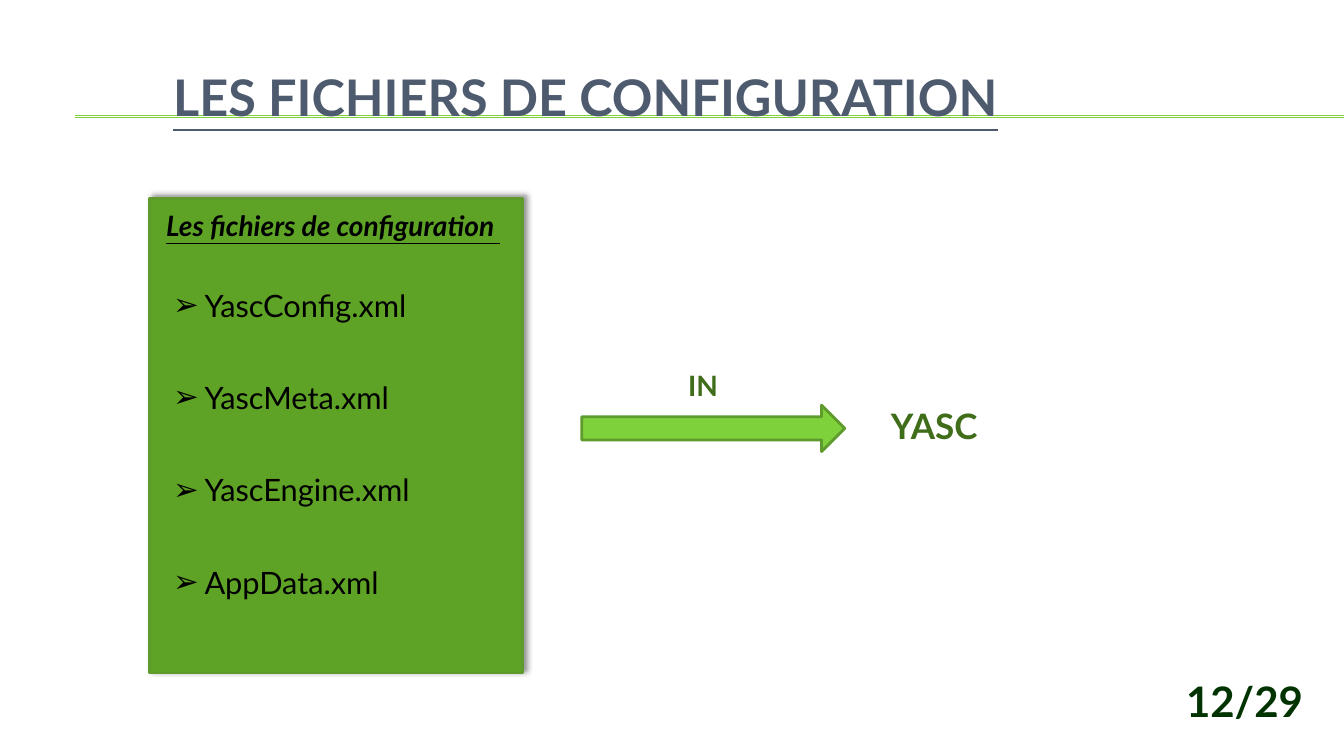
"""Build the slide on the configuration files."""
from lxml.etree import SubElement
from pptx import Presentation
from pptx.dml.color import RGBColor
from pptx.enum.shapes import MSO_CONNECTOR, MSO_SHAPE
from pptx.enum.text import MSO_ANCHOR, MSO_AUTO_SIZE, PP_ALIGN
from pptx.oxml.ns import qn
from pptx.util import Cm, Pt

FONT = "Lato"
COLORS = {
    "title": "4E5B6F", "rule": "7FD13B", "card": "5FA326", "edge": "5E9B2C",
    "arrow": "7FD13B", "label": "3F6D19", "page": "003300", "text": "000000",
}
TITLE = "LES FICHIERS DE CONFIGURATION"
FILES = ["YascConfig.xml", "YascMeta.xml", "YascEngine.xml", "AppData.xml"]
LABELS = [
    ("Les fichiers de configuration ", (3.94, 5.13, 9.02, 1.12), 20, "text",
     {"italic": True, "underline": True}),
    ("YASC", (22.2, 10.06, 8.28, 1.32), 25, "label", {}),
    ("IN", (17.09, 9.17, 1.37, 1.12), 20, "label", {}),
    ("12/29", (29.64, 16.89, 5.46, 1.55), 30, "page", {}),
]
SLIDE_SIZE = (33.87, 19.05)
RULE_LEFT, RULE_TOPS = 1.9, (2.92, 2.95)
TITLE_BOX = (4.11, 0, 27.84, 4.88)
CARD_BOX = (3.76, 5, 9.4, 11.96)
LIST_BOX = (4.11, 5.69, 9.02, 9.65)
ARROW_BOX = (14.66, 10.21, 6.63, 1.17)
BULLET_INDENT = 0.79


def color(name):
    return RGBColor.from_string(COLORS[name])


def place(shape, box):
    shape.left, shape.top, shape.width, shape.height = map(Cm, box)


def format_text(shape, size, color_name, **styles):
    for paragraph in shape.text_frame.paragraphs:
        paragraph.alignment = PP_ALIGN.LEFT
        for run in paragraph.runs:
            font = run.font
            font.name, font.size = FONT, Pt(size)
            font.color.rgb = color(color_name)
            for style, value in styles.items():
                setattr(font, style, value)


def add_rule(slide, top):
    rule = slide.shapes.add_connector(
        MSO_CONNECTOR.STRAIGHT, Cm(RULE_LEFT), Cm(top), Cm(SLIDE_SIZE[0]), Cm(top))
    rule.line.color.rgb = color("rule")
    rule.line.width = Pt(0.75)
    SubElement(rule.element.spPr, qn("a:effectLst"))
    return rule


def add_block(slide, kind, box, fill):
    block = slide.shapes.add_shape(kind, *map(Cm, box))
    block.shadow.inherit = False
    block.fill.solid()
    block.fill.fore_color.rgb = color(fill)
    block.line.color.rgb = color("edge")
    block.line.width = Pt(2)
    return block


def add_shadow(shape):
    effects = shape.element.spPr.find(qn("a:effectLst"))
    shadow = SubElement(effects, qn("a:outerShdw"), blurRad=str(Pt(4)),
                        dist=str(Pt(3)), dir=str(315 * 60000), rotWithShape="0")
    tone = SubElement(shadow, qn("a:srgbClr"), val=COLORS["text"])
    SubElement(tone, qn("a:alpha"), val="40000")


def fill_title(title):
    place(title, TITLE_BOX)
    title.text_frame.text = TITLE
    title.text_frame.vertical_anchor = MSO_ANCHOR.MIDDLE
    format_text(title, 36, "title", bold=True, underline=True)


def fill_list(body):
    place(body, LIST_BOX)
    frame = body.text_frame
    frame.text = "\n".join(FILES)
    frame.auto_size = MSO_AUTO_SIZE.NONE
    frame.vertical_anchor = MSO_ANCHOR.TOP
    for paragraph in frame.paragraphs:
        properties = paragraph._p.get_or_add_pPr()
        properties.set("marL", str(Cm(BULLET_INDENT)))
        properties.set("indent", str(-Cm(BULLET_INDENT)))
        SubElement(properties, qn("a:buChar"), char="➢")
        paragraph.line_spacing = 2.5
        paragraph.space_before = paragraph.space_after = Pt(0)
    format_text(body, 22, "text")


def add_label(slide, text, box, size, color_name, styles):
    label = slide.shapes.add_textbox(*map(Cm, box))
    label.text_frame.word_wrap = True
    label.text_frame.text = text
    format_text(label, size, color_name, bold=True, **styles)


def main():
    presentation = Presentation()
    presentation.slide_width, presentation.slide_height = map(Cm, SLIDE_SIZE)
    slide = presentation.slides.add_slide(presentation.slide_layouts[1])
    title, body = slide.placeholders
    fill_title(title)
    fill_list(body)
    for top in RULE_TOPS:
        title.element.addprevious(add_rule(slide, top).element)
    card = add_block(slide, MSO_SHAPE.RECTANGLE, CARD_BOX, "card")
    add_shadow(card)
    body.element.addprevious(card.element)
    add_block(slide, MSO_SHAPE.RIGHT_ARROW, ARROW_BOX, "arrow")
    for label in LABELS:
        add_label(slide, *label)
    presentation.save("out.pptx")


if __name__ == "__main__":
    main()
